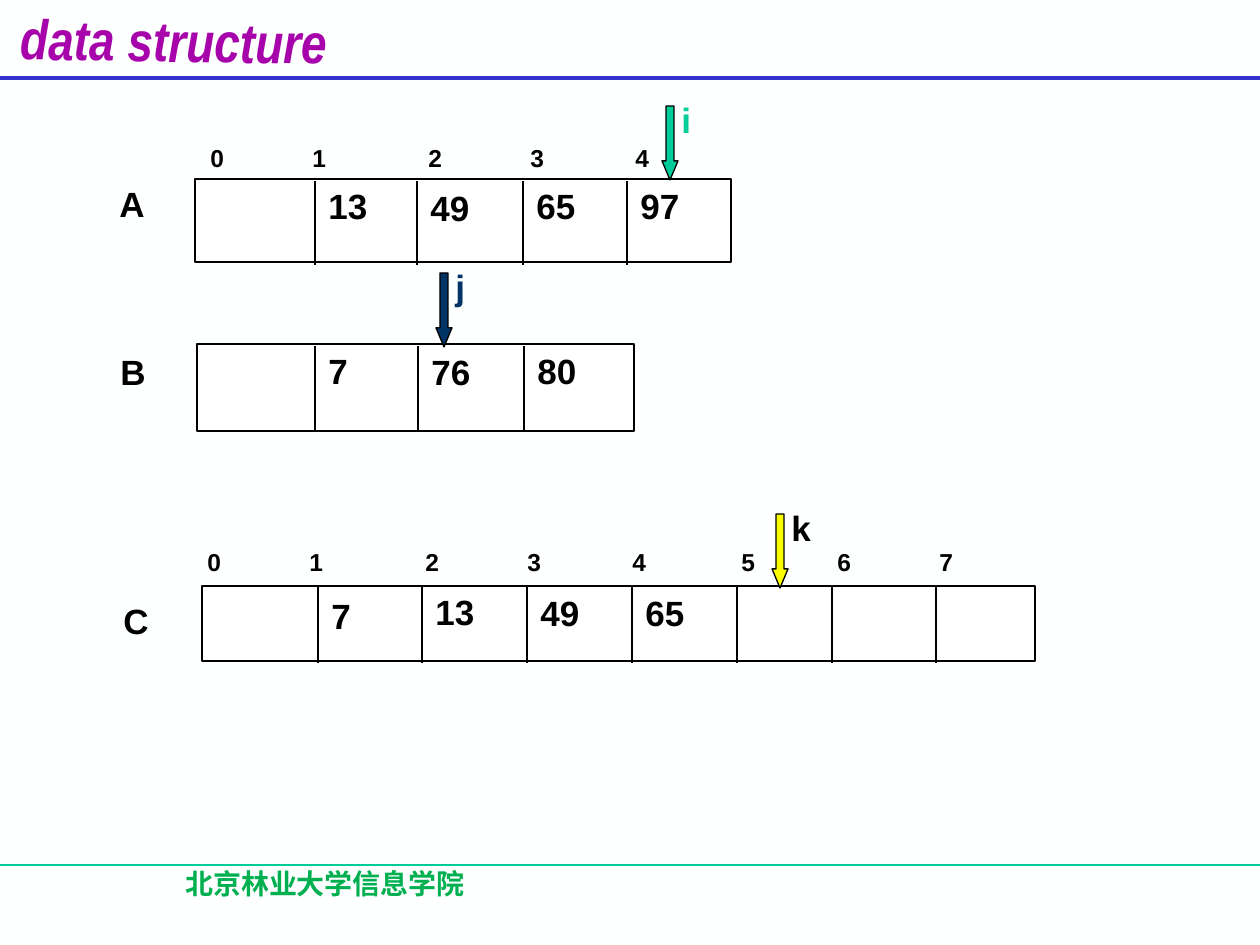
from lxml.etree import SubElement
from pptx import Presentation
from pptx.dml.color import RGBColor
from pptx.enum.shapes import MSO_CONNECTOR as CONNECTOR, MSO_SHAPE as SHAPE
from pptx.enum.text import MSO_ANCHOR as ANCHOR, PP_ALIGN as ALIGN
from pptx.oxml.ns import qn
from pptx.util import Emu, Pt

PX_PER_INCH = 126
WIDTH, HEIGHT = 1260, 945

PAPER = RGBColor(0xFE, 0xFF, 0xFF)
WHITE = RGBColor(0xFF, 0xFF, 0xFF)
BLACK = RGBColor(0, 0, 0)
PURPLE = RGBColor(0xA6, 0x03, 0xAB)
BLUE = RGBColor(0x33, 0x33, 0xCC)
TEAL = RGBColor(0x00, 0xCC, 0x99)
GREEN = RGBColor(0x00, 0xB0, 0x50)
NAVY = RGBColor(0x00, 0x33, 0x66)
YELLOW = RGBColor(0xFA, 0xFD, 0x00)

INDEX_TABS = (102, 218, 320, 425, 534, 630, 732)
VALUE_SIZE = (84, 55)


def px(length):
    return Emu(round(length * 914400 / PX_PER_INCH))


def add_line(shapes, x1, y1, x2, y2, color=BLACK, width=0.75):
    line = shapes.add_connector(CONNECTOR.STRAIGHT, px(x1), px(y1), px(x2), px(y2))
    line.line.color.rgb = color
    line.line.width = Pt(width)
    SubElement(line._element.spPr, qn("a:effectLst"))


def add_filled(shapes, kind, box, fill):
    shape = shapes.add_shape(kind, *map(px, box))
    shape.shadow.inherit = False
    shape.fill.solid()
    shape.fill.fore_color.rgb = fill
    shape.line.color.rgb = BLACK
    shape.line.width = Pt(0.75)
    return shape


def add_text(shapes, text, box, size=20, color=BLACK, font="Arial",
             anchor=ANCHOR.BOTTOM):
    shape = shapes.add_textbox(*map(px, box))
    frame = shape.text_frame
    frame.word_wrap = True
    frame.vertical_anchor = anchor
    run = frame.paragraphs[0].add_run()
    run.text = text
    run.font.size = Pt(size)
    run.font.bold = True
    run.font.name = font
    run.font.color.rgb = color
    return shape


def add_header(slide, box):
    x, y, width, height = box
    bottom = y + height
    add_line(slide.shapes, x, bottom, x + width, bottom, BLUE, 2.25)
    title = add_text(slide.shapes, "data structure", (x + 8, y, 344, 68), 32,
                     PURPLE, "Arial Narrow", ANCHOR.TOP)
    title.rotation = 0.8
    title.text_frame.paragraphs[0].runs[0].font.italic = True


def add_footer(slide, box):
    x, y, width, height = box
    add_line(slide.shapes, x, y, x + width, y, TEAL)
    font = "Noto Sans CJK SC"
    school = add_text(slide.shapes, "北京林业大学信息学院", (x + 64, y - 5, 522, 63),
                      16, GREEN, font, ANCHOR.TOP)
    paragraph = school.text_frame.paragraphs[0]
    paragraph.alignment = ALIGN.CENTER
    properties = paragraph.runs[0].font._element
    SubElement(properties, qn("a:ea")).set("typeface", font)


def add_indices(slide, count, box):
    shape = add_text(slide.shapes, "\t".join(map(str, range(count))), box, 14)
    properties = shape.text_frame.paragraphs[0]._p.get_or_add_pPr()
    tabs = SubElement(properties, qn("a:tabLst"))
    for position in INDEX_TABS[:count - 1]:
        tab = SubElement(tabs, qn("a:tab"))
        tab.set("pos", str(px(position)))
        tab.set("algn", "l")


def add_array(slide, box, name, name_at, dividers, divider_span, values):
    x, y, width, height = box
    start, end = divider_span
    add_filled(slide.shapes, SHAPE.RECTANGLE, box, WHITE)
    for divider in dividers:
        add_line(slide.shapes, x + divider, y + start, x + divider, y + end)
    for divider, (value, drop) in zip(dividers, values):
        add_text(slide.shapes, value, (x + divider + 1, y + drop, *VALUE_SIZE))
    add_text(slide.shapes, name, (x + name_at[0], y + name_at[1], *VALUE_SIZE))


def add_pointer(slide, box, name, fill, text_color):
    x, y, width, height = box
    group = slide.shapes.add_group_shape()
    arrow = add_filled(group.shapes, SHAPE.DOWN_ARROW, box, fill)
    arrow.adjustments[0] = 0.5
    arrow.adjustments[1] = 1.19
    add_text(group.shapes, name, (x + 7, y - 14, 67, 55), color=text_color)


def main():
    presentation = Presentation()
    presentation.slide_width = px(WIDTH)
    presentation.slide_height = px(HEIGHT)
    slide = presentation.slides.add_slide(presentation.slide_layouts[6])
    slide.background.fill.solid()
    slide.background.fill.fore_color.rgb = PAPER

    add_header(slide, (0, 0, WIDTH, 78))
    add_footer(slide, (0, 865, WIDTH, 80))

    add_indices(slide, 5, (198, 136, 535, 43))
    add_array(slide, (195, 179, 536, 83), "A", (-88, -3),
              (120, 222, 328, 432), (2, 86),
              (("13", -1), ("49", 1), ("65", -1), ("97", -1)))
    add_array(slide, (197, 344, 437, 87), "B", (-89, 0),
              (118, 221, 327), (2, 86),
              (("7", -1), ("76", 0), ("80", -1)))
    add_indices(slide, 8, (195, 540, 839, 43))
    add_array(slide, (202, 586, 833, 75), "C", (-91, 7),
              (116, 220, 325, 430, 535, 630, 734), (0, 77),
              (("7", 2), ("13", -2), ("49", -1), ("65", -1)))

    add_pointer(slide, (662, 106, 16, 74), "i", TEAL, TEAL)
    add_pointer(slide, (436, 273, 16, 74), "j", NAVY, NAVY)
    add_pointer(slide, (772, 514, 16, 74), "k", YELLOW, BLACK)

    presentation.save("out.pptx")


if __name__ == "__main__":
    main()
